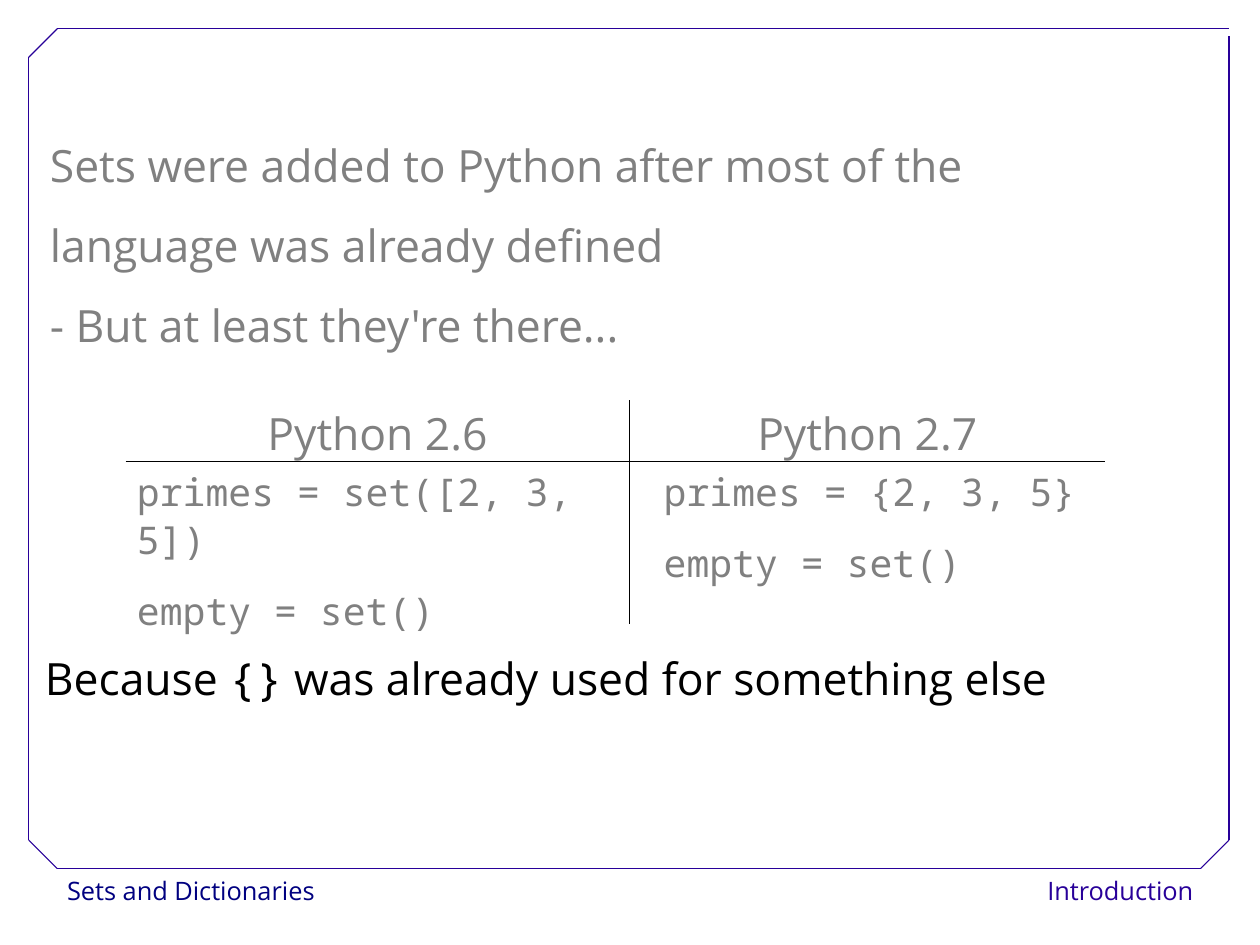
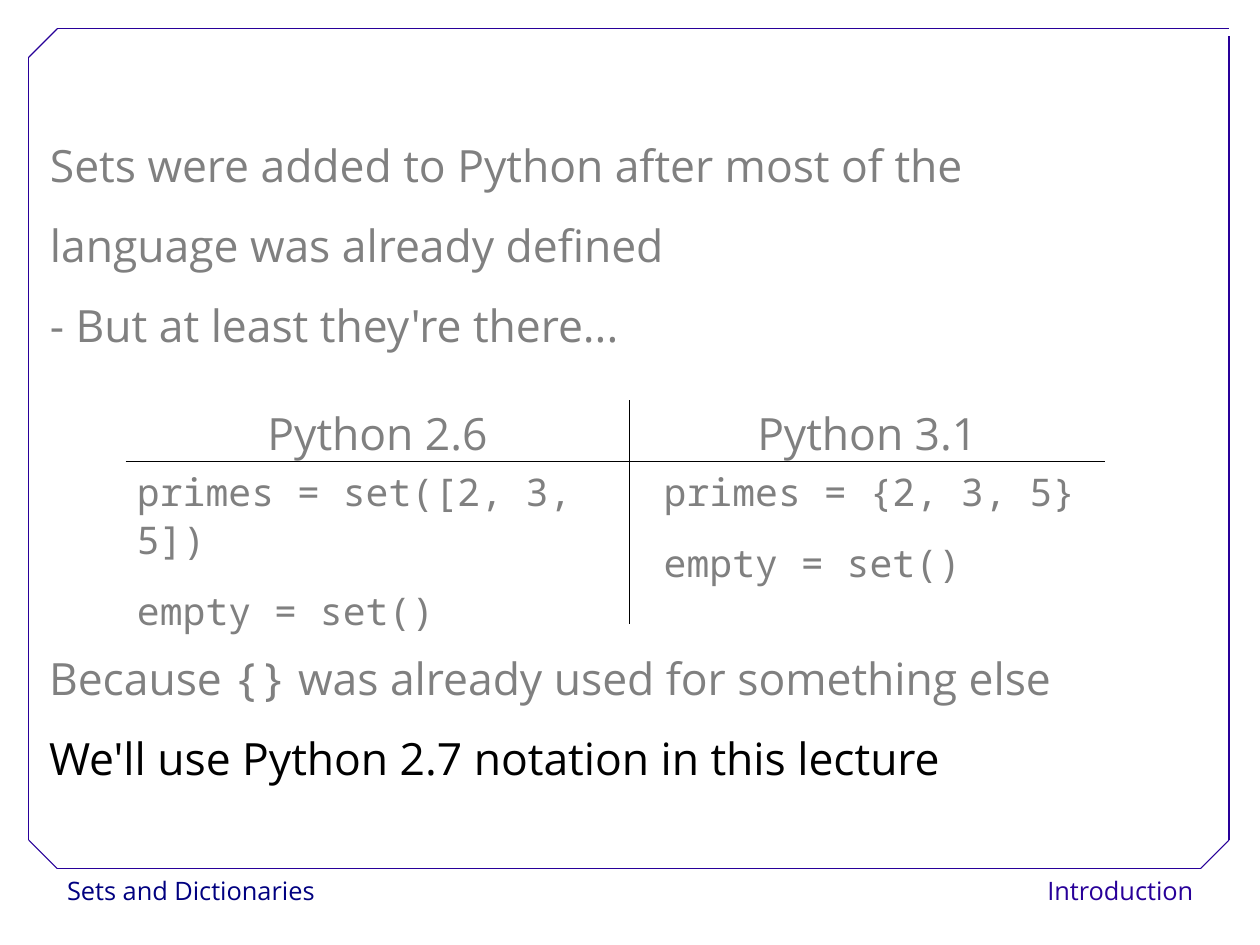
from dataclasses import dataclass

from lxml.etree import SubElement
from pptx import Presentation
from pptx.dml.color import RGBColor
from pptx.enum.shapes import MSO_CONNECTOR
from pptx.enum.text import PP_ALIGN
from pptx.oxml.ns import qn
from pptx.slide import Slide
from pptx.table import _Cell
from pptx.util import Cm, Pt

COLOURS = {"frame": "280099", "footer": "000080", "past": "808080",
           "current": "000000", "border": "000000"}
SANS, MONO = "Open Sans", "Noto Sans Mono"
NO_STYLE = "{2D5ABB26-0587-4C30-8999-92F81FD0307C}"

# Frame edges, and the same edges moved in by the cut corner
LEFT, TOP, RIGHT, BOTTOM = 0.64, 0.64, 27.31, 19.3
CUT = 0.63
INNER_LEFT, INNER_TOP = LEFT + CUT, TOP + CUT
INNER_RIGHT, INNER_BOTTOM = RIGHT - CUT, BOTTOM - CUT
FRAME_LINES = [
    (INNER_LEFT, BOTTOM, INNER_RIGHT, BOTTOM),
    (LEFT, INNER_BOTTOM, LEFT, INNER_TOP),
    (INNER_LEFT, TOP, RIGHT, TOP),
    (RIGHT, INNER_BOTTOM, RIGHT, 0.81),
    (LEFT, INNER_TOP, INNER_LEFT, TOP),
    (INNER_RIGHT, BOTTOM, RIGHT, INNER_BOTTOM),
    (LEFT, INNER_BOTTOM, INNER_LEFT, BOTTOM),
]


@dataclass(frozen=True)
class Piece:
    text: str
    colour: str = "past"
    font: str = SANS
    size: float = 28


@dataclass(frozen=True)
class TextBlock:
    left: float
    top: float
    width: float
    height: float
    lines: list[list[Piece]]
    spacing: float = 1.5
    align: PP_ALIGN = PP_ALIGN.LEFT


@dataclass(frozen=True)
class Page:
    newer_version: str
    remarks: TextBlock


def because(colour: str) -> list[Piece]:
    return [Piece("Because ", colour), Piece("{}", colour, MONO),
            Piece(" was already used for something else", colour)]


FOOTERS = [
    TextBlock(1.24, 19.3, 6.5, 1.02,
              [[Piece("Sets and Dictionaries", "footer", size=16)]], 1.02),
    TextBlock(20.27, 19.3, 6.5, 1.02,
              [[Piece("Introduction", "frame", size=16)]], 1.02, PP_ALIGN.RIGHT),
]
HISTORY = TextBlock(0.86, 2.34, 23.5, 5.59, [
    [Piece("Sets were added to Python after most of the")],
    [Piece("language was already defined")],
    [Piece("- But at least they're there...")],
])
PAGES = [
    Page("Python 2.7", TextBlock(0.75, 13.74, 25.53, 2.03, [because("current")])),
    Page("Python 3.1", TextBlock(0.84, 13.74, 25.53, 3.81, [
        because("past"),
        [Piece("We'll use Python 2.7 notation in this lecture", "current")],
    ])),
]


def write_lines(text_frame, lines: list[list[Piece]], spacing: float,
                align: PP_ALIGN, space_after: float = 0) -> None:
    for index, pieces in enumerate(lines):
        paragraph = text_frame.add_paragraph() if index else text_frame.paragraphs[0]
        paragraph.alignment = align
        paragraph.line_spacing = spacing
        paragraph.space_after = Pt(space_after)
        for piece in pieces:
            run = paragraph.add_run()
            run.text = piece.text
            run.font.name = piece.font
            run.font.size = Pt(piece.size)
            run.font.color.rgb = RGBColor.from_string(COLOURS[piece.colour])


def add_text(slide: Slide, block: TextBlock) -> None:
    shape = slide.shapes.add_textbox(Cm(block.left), Cm(block.top),
                                     Cm(block.width), Cm(block.height))
    shape.text_frame.word_wrap = True
    write_lines(shape.text_frame, block.lines, block.spacing, block.align)


def add_frame(slide: Slide) -> None:
    for ends in FRAME_LINES:
        connector = slide.shapes.add_connector(MSO_CONNECTOR.STRAIGHT, *map(Cm, ends))
        connector.line.color.rgb = RGBColor.from_string(COLOURS["frame"])
        connector.line.width = Pt(0.75)
        SubElement(connector._element.spPr, qn("a:effectLst"))


def add_border(cell: _Cell, side: str) -> None:
    line = SubElement(cell._tc.get_or_add_tcPr(), qn(f"a:ln{side}"), w=str(Pt(0.45)))
    fill = SubElement(line, qn("a:solidFill"))
    SubElement(fill, qn("a:srgbClr"), val=COLOURS["border"])


def add_comparison(slide: Slide, newer_version: str) -> None:
    cells = [
        [["Python 2.6"], [newer_version]],
        [["primes = set([2, 3, 5])", "empty = set()"],
         ["primes = {2, 3, 5}", "empty = set()"]],
    ]
    frame = slide.shapes.add_table(2, 2, Cm(2.79), Cm(8.89), Cm(21.77), Cm(4.65))
    table = frame.table
    table.first_row = table.horz_banding = False
    table._tbl.tblPr.find(qn("a:tableStyleId")).text = NO_STYLE
    for column, width in zip(table.columns, (11.2, 10.57)):
        column.width = Cm(width)
    for row, height in zip(table.rows, (1.37, 3.61)):
        row.height = Cm(height)
    for row_index, row in enumerate(cells):
        is_code = row_index == 1
        for column_index, texts in enumerate(row):
            cell = table.cell(row_index, column_index)
            # Only the inner edges of the grid are ruled
            add_border(cell, "L" if column_index else "R")
            add_border(cell, "T" if is_code else "B")
            cell.fill.background()
            if is_code and column_index:
                cell.margin_left = Cm(0.76)
            font, size = (MONO, 24) if is_code else (SANS, 28)
            lines = [[Piece(text, font=font, size=size)] for text in texts]
            align = PP_ALIGN.LEFT if is_code else PP_ALIGN.CENTER
            write_lines(cell.text_frame, lines, 0.93, align, 14.3)
    frame.height = Cm(4.65)


def main() -> None:
    presentation = Presentation()
    presentation.slide_width, presentation.slide_height = Cm(28), Cm(21)
    blank_layout = presentation.slide_layouts[6]
    for page in PAGES:
        slide = presentation.slides.add_slide(blank_layout)
        # Shared footers and frame
        for footer in FOOTERS:
            add_text(slide, footer)
        add_frame(slide)
        # Content
        add_text(slide, HISTORY)
        add_comparison(slide, page.newer_version)
        add_text(slide, page.remarks)
    presentation.save("out.pptx")


if __name__ == "__main__":
    main()
